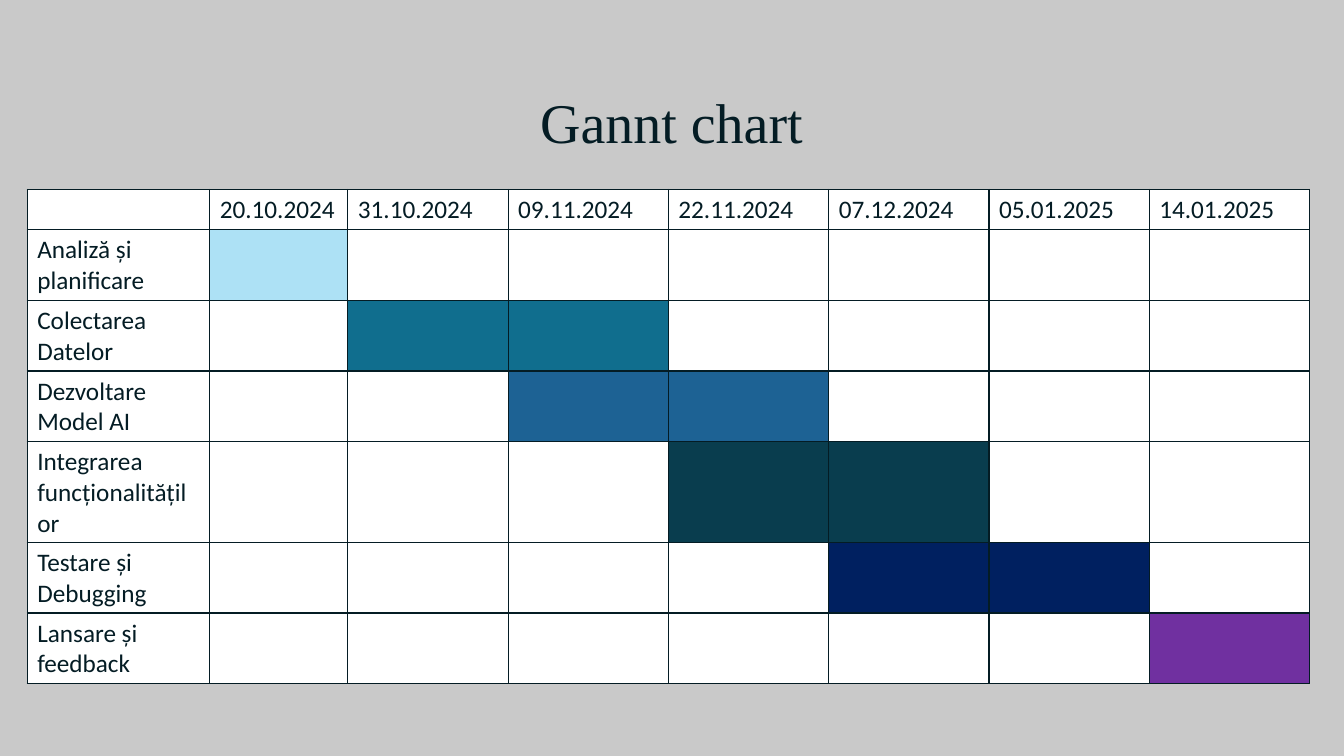
from lxml import etree
from pptx import Presentation
from pptx.dml.color import RGBColor
from pptx.enum import text
from pptx.oxml import ns
from pptx.util import Inches, Pt

# Content
TITLE = "Gannt chart"
DATES = ["20.10.2024", "31.10.2024", "09.11.2024", "22.11.2024",
         "07.12.2024", "05.01.2025", "14.01.2025"]
# task, first date column, last date column, bar colour, row height
TASKS = [
    ("Analiză și planificare", 1, 1, "ADE1F5", 0.66),
    ("Colectarea Datelor", 2, 3, "106E8E", 0.66),
    ("Dezvoltare Model AI", 3, 4, "1D6294", 0.66),
    ("Integrarea funcționalităților", 4, 5, "093D4E", 0.95),
    ("Testare și Debugging", 5, 6, "002060", 0.66),
    ("Lansare și feedback", 7, 7, "7030A0", 0.66),
]
INK, PAPER, BACKGROUND = "041C24", "FFFFFF", "C9C9C9"
COLUMN_WIDTHS = [1.81, 1.37] + [1.59] * 6
ROW_HEIGHTS = [0.38] + [task[-1] for task in TASKS]


def paint(fill, colour):
    fill.solid()
    fill.fore_color.rgb = RGBColor.from_string(colour)


def xml(source):
    return etree.fromstring(source.replace(">", f" {ns.nsdecls('a')}>", 1))


def write(paragraph, words, size, font):
    run = paragraph.add_run()
    run.text = words
    run.font.size = Pt(size)
    run.font.name = font
    paint(run.font.fill, INK)
    return run


def border(cell):
    properties = cell._tc.get_or_add_tcPr()
    for place, side in enumerate("LRTB"):
        properties.insert(place, xml(
            f'<a:ln{side} w="12700"><a:solidFill><a:srgbClr val="{INK}"/>'
            f'</a:solidFill></a:ln{side}>'))


prs = Presentation()
prs.slide_width, prs.slide_height = Inches(13.33), Inches(7.5)
slide = prs.slides.add_slide(prs.slide_layouts[6])
paint(slide.background.fill, BACKGROUND)

# Title with a soft shadow
heading = slide.shapes.add_textbox(
    Inches(1), Inches(0.67), Inches(11.32), Inches(1.06)).text_frame
heading.word_wrap = True
heading.vertical_anchor = text.MSO_ANCHOR.MIDDLE
heading.paragraphs[0].alignment = text.PP_ALIGN.CENTER
title = write(heading.paragraphs[0], TITLE, 40, "Times New Roman")
title_fill = title.font._element.find(ns.qn("a:solidFill"))
title_fill.addprevious(xml(
    '<a:ln w="9525"><a:solidFill><a:srgbClr val="D6D6D6"><a:alpha val="10000"/>'
    '</a:srgbClr></a:solidFill></a:ln>'))
title_fill.addnext(xml(
    '<a:effectLst><a:outerShdw blurRad="38100" dist="25400" dir="2700000">'
    '<a:srgbClr val="000000"><a:alpha val="40000"/></a:srgbClr>'
    '</a:outerShdw></a:effectLst>'))

# Schedule grid
schedule = slide.shapes.add_table(
    len(ROW_HEIGHTS), len(COLUMN_WIDTHS), Inches(0.27), Inches(1.88),
    Inches(sum(COLUMN_WIDTHS)), Inches(sum(ROW_HEIGHTS))).table
for column, width in zip(schedule.columns, COLUMN_WIDTHS):
    column.width = Inches(width)
for row, height in zip(schedule.rows, ROW_HEIGHTS):
    row.height = Inches(height)
for cell in schedule.iter_cells():
    paint(cell.fill, PAPER)
    border(cell)

# Dates, task names and bars
for column, date in enumerate(DATES, 1):
    write(schedule.cell(0, column).text_frame.paragraphs[0], date, 18, "Calibri")
for row, (task, first, last, colour, _) in enumerate(TASKS, 1):
    write(schedule.cell(row, 0).text_frame.paragraphs[0], task, 18, "Calibri")
    for column in range(first, last + 1):
        paint(schedule.cell(row, column).fill, colour)

prs.save("out.pptx")
